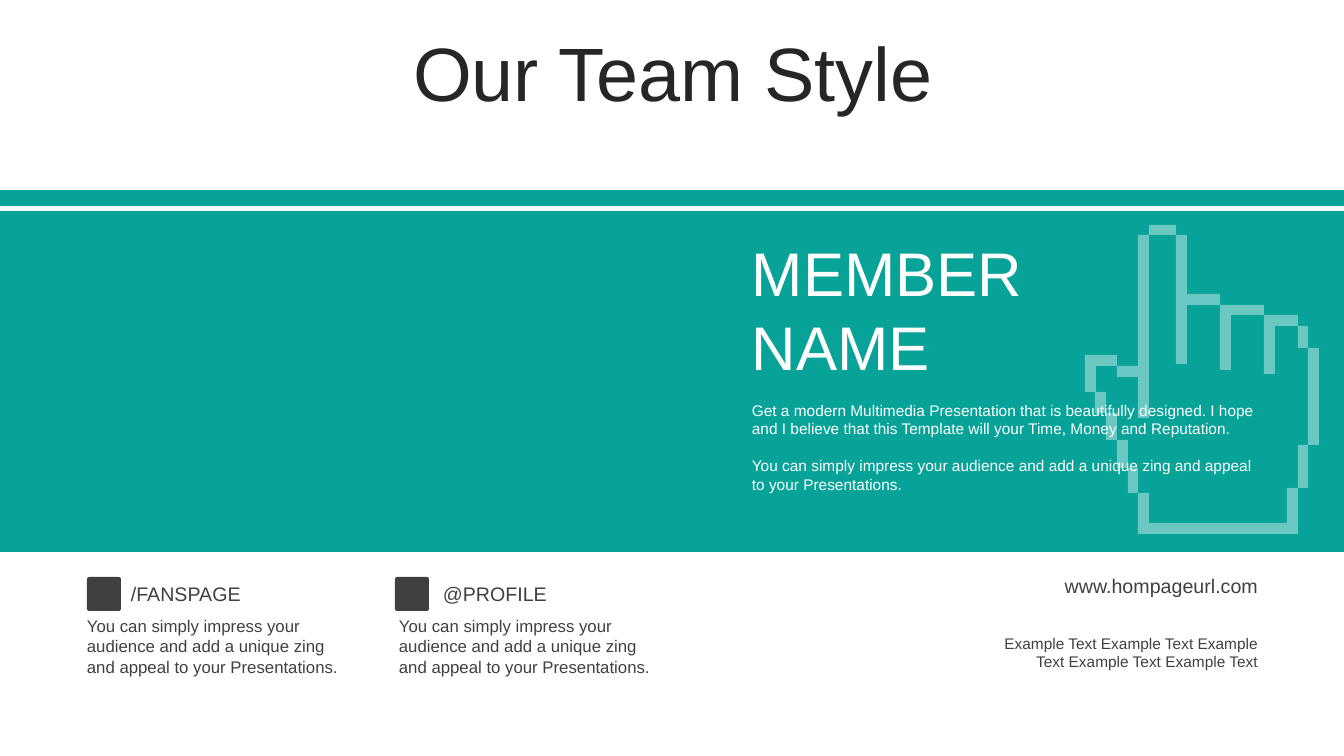
from pptx import Presentation
from pptx import util as u
from pptx.dml.color import RGBColor
from pptx.enum import shapes, text
from pptx.oxml.ns import qn
from lxml import etree

PX = 914400 / 100.8  # EMU per px
TEAL, WHITE, GREY, INK = "07A398", "FFFFFF", "404040", "262626"
LEFT, CENTER, RIGHT = (text.PP_ALIGN.LEFT, text.PP_ALIGN.CENTER,
                       text.PP_ALIGN.RIGHT)
TOP, MIDDLE = text.MSO_ANCHOR.TOP, text.MSO_ANCHOR.MIDDLE
PITCH = ("You can simply impress your audience and add a unique zing "
         "and appeal to your Presentations.")

# Bars of the pointing hand: left, top, right, bottom
HAND_BARS = [
    # index finger
    (64, 0, 91, 10), (53, 10, 64, 193), (91, 10, 102, 139),
    # other fingers
    (102, 69, 135, 80), (135, 80, 146, 145), (146, 80, 179, 90),
    (179, 90, 190, 149), (190, 90, 213, 101),
    # outer edge and wrist
    (213, 101, 223, 123), (223, 123, 234, 220), (213, 220, 223, 263),
    (202, 263, 213, 309), (64, 298, 202, 309), (53, 268, 64, 309),
    # thumb
    (0, 130, 11, 167), (11, 130, 32, 141), (32, 141, 53, 152),
    (10, 167, 21, 188), (21, 188, 32, 215), (32, 215, 43, 243),
    (43, 243, 53, 268),
]


def px(n):
    return u.Emu(round(n * PX))


def color(value):
    return RGBColor.from_string(value)


def paint(sp, fill):
    sp.shadow.inherit = False
    sp.fill.solid()
    sp.fill.fore_color.rgb = color(fill)
    sp.line.fill.background()


def add_block(s, x, y, w, h, fill, kind=shapes.MSO_SHAPE.RECTANGLE):
    sp = s.shapes.add_shape(kind, px(x), px(y), px(w), px(h))
    paint(sp, fill)
    return sp


def write(sp, content, size, fill, align=LEFT, anchor=TOP, gap=0, spacing=None):
    tf = sp.text_frame
    tf.word_wrap = True
    tf.auto_size = text.MSO_AUTO_SIZE.NONE
    tf.vertical_anchor = anchor
    for i, line in enumerate(content.split("\n")):
        p = tf.add_paragraph() if i else tf.paragraphs[0]
        p.alignment = align
        p.space_before = u.Pt(gap if i else 0)
        if spacing:
            p.line_spacing = spacing
        r = p.add_run()
        r.text = line
        r.font.name = "Arial"
        r.font.size = u.Pt(size)
        r.font.color.rgb = color(fill)


def add_text(s, x, y, w, h, content, size, fill, **fmt):
    write(s.shapes.add_textbox(px(x), px(y), px(w), px(h)),
          content, size, fill, **fmt)


def add_title(s, x, y, w, h, content):
    sp = s.shapes.title
    sp.left, sp.top, sp.width, sp.height = px(x), px(y), px(w), px(h)
    write(sp, content, 54, INK, align=CENTER, anchor=MIDDLE, spacing=0.9)


def add_band(s, x, y, w, h):
    stripe, gap = 16, 5
    add_block(s, x, y, w, stripe, TEAL)
    add_block(s, x, y + stripe + gap, w, h - stripe - gap, TEAL)


def add_hand(s, x, y):
    left, top = HAND_BARS[0][:2]
    outline = s.shapes.build_freeform(left, top, scale=PX)
    for i, (l, t, r, b) in enumerate(HAND_BARS):
        if i:
            outline.move_to(l, t)
        outline.add_line_segments([(r, t), (r, b), (l, b)], close=True)
    sp = outline.convert_to_shape(px(x), px(y))
    paint(sp, WHITE)
    clr = sp.fill._xPr.find(".//" + qn("a:srgbClr"))
    etree.SubElement(clr, qn("a:alpha")).set("val", "40000")


def add_member(s, x, y, w):
    add_text(s, x, y, 336, 159, "MEMBER\nNAME", 44, WHITE)
    about = ("Get a modern Multimedia Presentation that is beautifully "
             "designed. I hope and I believe that this Template will your "
             "Time, Money and Reputation.")
    add_text(s, x, y + 166, w, 104, about + "\n" + PITCH, 11, WHITE, gap=13)


def add_social(s, x, y, handle, icon_inset):
    icon = add_block(s, x + icon_inset, y, 34, 34, GREY,
                     shapes.MSO_SHAPE.ROUNDED_RECTANGLE)
    icon.adjustments[0] = 0.07
    add_text(s, x + 44, y, 135, 34, handle, 14, GREY, anchor=MIDDLE)
    add_text(s, x, y + 34, 283, 72, PITCH, 12, GREY)


def add_contact(s, right, y):
    add_text(s, right - 235, y, 235, 34, "www.hompageurl.com", 14, GREY,
             align=RIGHT, anchor=MIDDLE)
    add_text(s, right - 303, y + 60, 303, 47, " ".join(["Example Text"] * 5),
             11, GREY, align=RIGHT, anchor=MIDDLE)


def main():
    prs = Presentation()
    prs.slide_width, prs.slide_height = px(1344), px(756)
    s = prs.slides.add_slide(prs.slide_layouts[5])

    # Title and teal band
    add_title(s, 35, 37, 1276, 80, "Our Team Style")
    add_band(s, 0, 190, 1344, 362)

    # Member profile
    add_member(s, 742, 230, 531)
    add_hand(s, 1085, 225)

    # Footer contacts
    for i, (handle, inset) in enumerate([("/FANSPAGE", 10), ("@PROFILE", 6)]):
        add_social(s, 77 + 312 * i, 577, handle, inset)
    add_contact(s, 1268, 569)

    prs.save("out.pptx")


if __name__ == "__main__":
    main()
